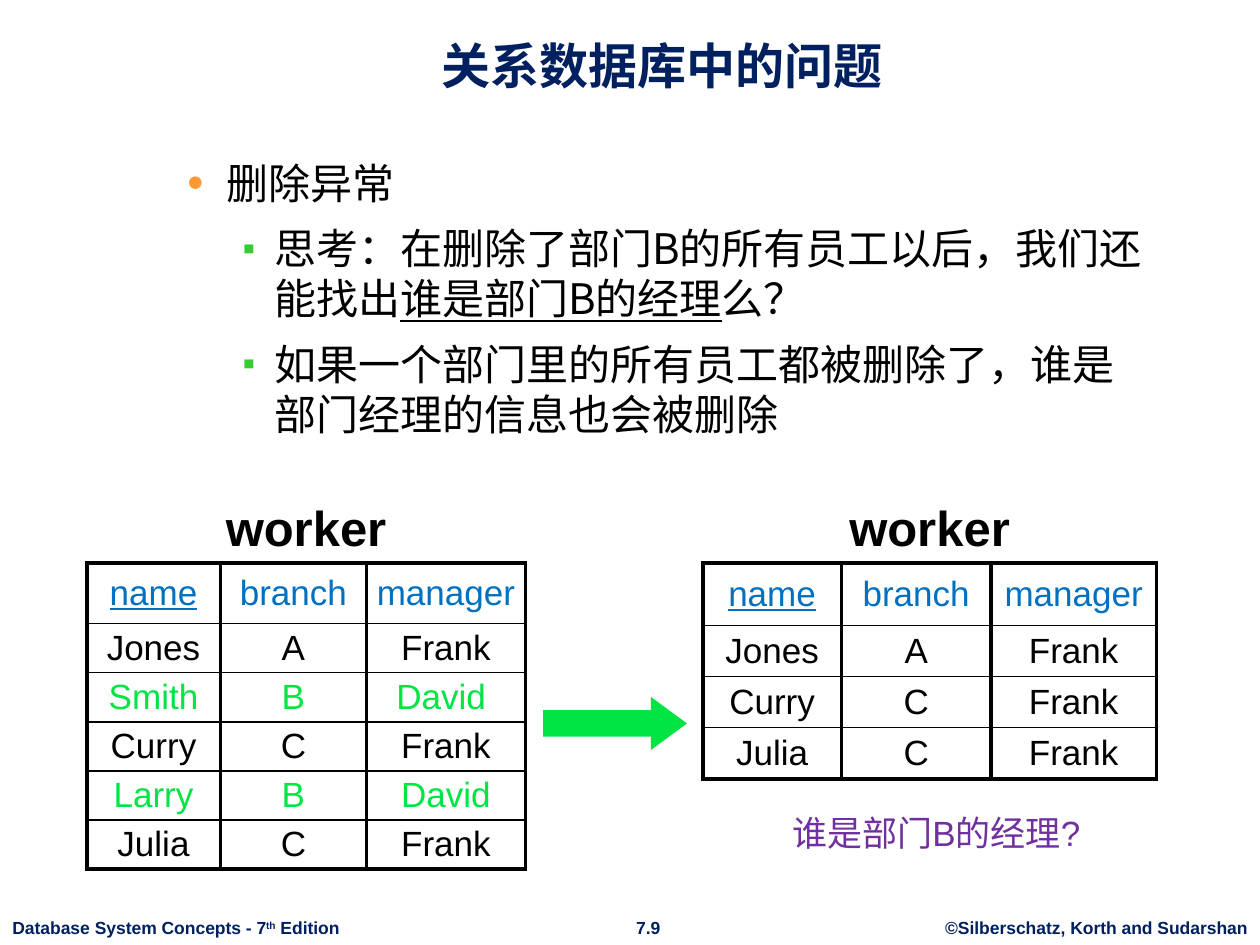
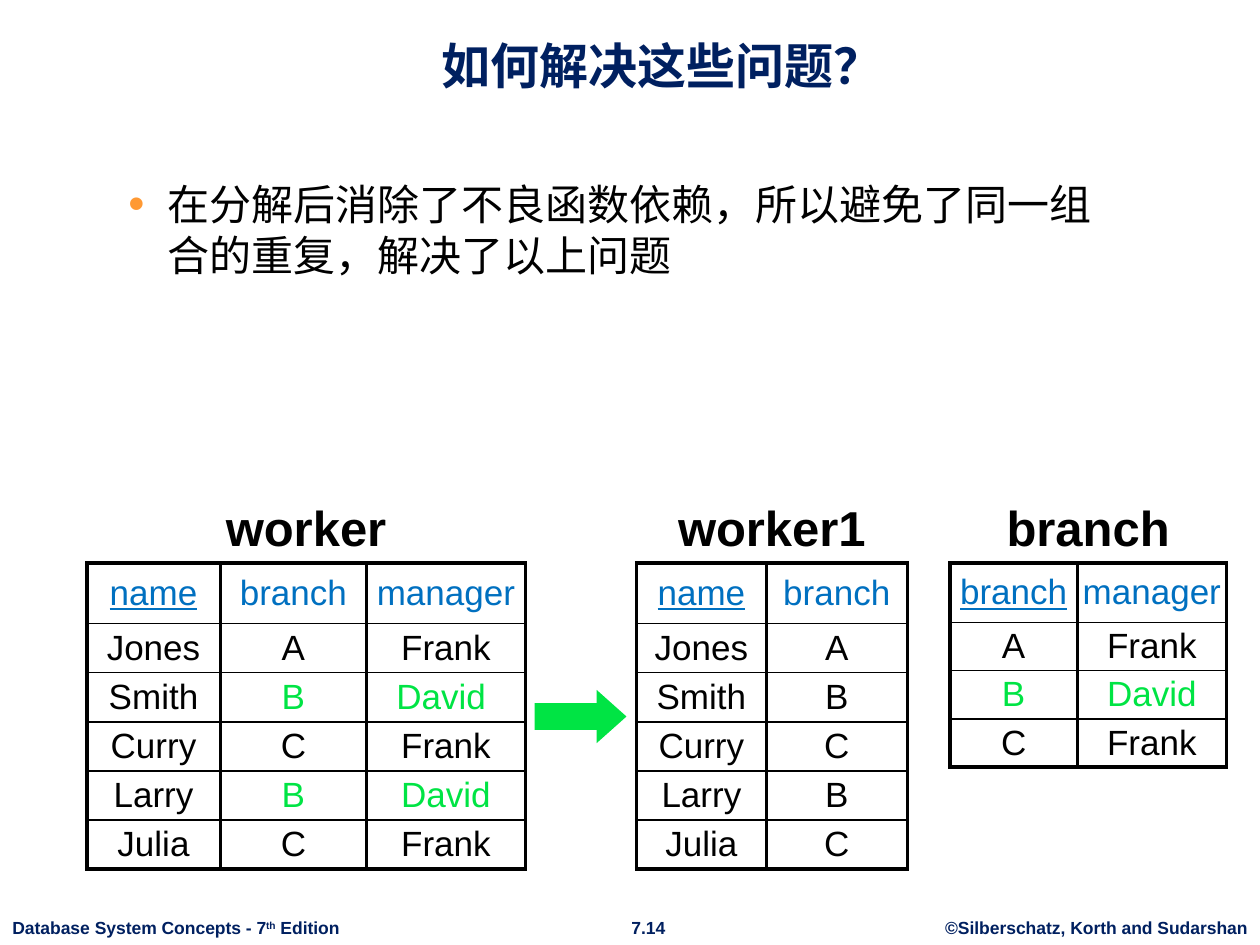
import dataclasses

import lxml.etree
import pptx
import pptx.dml.color
import pptx.enum.shapes
import pptx.enum.text
import pptx.oxml.ns
import pptx.util

Cm = pptx.util.Cm
Pt = pptx.util.Pt
ALIGN = pptx.enum.text.PP_ALIGN
ANCHOR = pptx.enum.text.MSO_ANCHOR

LATIN = "Arial"
CJK = "Noto Sans CJK SC"
NAVY = "002060"
BLACK = "000000"
WHITE = "FFFFFF"
BLUE = "0070C0"
GREEN = "00E444"
PURPLE = "7030A0"

TABLE_TOP = 11.35
LABEL_TOP = 9.91
FOOTER_TOP = 18.36
THICK = 2.25
THIN = 1


@dataclasses.dataclass(frozen=True)
class Run:
    text: str
    size: float
    color: str = BLACK
    font: str = LATIN
    bold: bool = False
    underline: bool = False
    superscript: bool = False


@dataclasses.dataclass(frozen=True)
class Box:
    left: float
    top: float
    width: float
    height: float


@dataclasses.dataclass(frozen=True)
class Level:
    margin: float
    indent: float
    char: str
    color: str
    percent: int


@dataclasses.dataclass(frozen=True)
class Bullet:
    level: Level
    runs: tuple[Run, ...]


@dataclasses.dataclass(frozen=True)
class Relation:
    name: str
    label_width: float
    left: float
    col_widths: tuple[float, ...]
    columns: tuple[str, ...]
    rows: tuple[tuple[str, ...], ...]
    highlighted: tuple[str, ...] = ()
    header_height: float = 1.22
    row_height: float = 0.99


TOPIC = Level(2.06, -0.79, "•", "FF9933", 110)
DETAIL = Level(3.02, -0.64, "▪", "33CC33", 85)


def rgb(color: str) -> pptx.dml.color.RGBColor:
    return pptx.dml.color.RGBColor.from_string(color)


def add_xml(parent, tag: str, **attrs):
    return lxml.etree.SubElement(parent, pptx.oxml.ns.qn(tag), attrs)


def add_run(p, run: Run) -> None:
    r = p.add_run()
    r.text = run.text
    r.font.size = Pt(run.size)
    r.font.name = run.font
    r.font.bold = run.bold
    r.font.underline = run.underline
    r.font.color.rgb = rgb(run.color)
    rPr = r._r.get_or_add_rPr()
    add_xml(rPr, "a:ea", typeface=CJK)
    if run.superscript:
        rPr.set("baseline", "30000")


def add_text(s, box: Box, runs: tuple[Run, ...], align=ALIGN.CENTER,
             wrap: bool = False, side_margin: float = 0.25) -> None:
    sp = s.shapes.add_textbox(Cm(box.left), Cm(box.top), Cm(box.width), Cm(box.height))
    tf = sp.text_frame
    tf.word_wrap = wrap
    tf.margin_left = tf.margin_right = Cm(side_margin)
    p = tf.paragraphs[0]
    p.alignment = align
    for run in runs:
        add_run(p, run)


def add_footer(s, page: str) -> None:
    def footer_run(text: str, superscript: bool = False) -> Run:
        return Run(text, 10, NAVY, bold=True, superscript=superscript)

    edition = (footer_run("Database System Concepts - 7"),
               footer_run("th", superscript=True), footer_run(" Edition"))
    add_text(s, Box(0, FOOTER_TOP, 7.14, 0.69), edition, ALIGN.LEFT)
    add_text(s, Box(12.45, FOOTER_TOP, 1.24, 0.69), (footer_run(page),))
    add_text(s, Box(18.8, FOOTER_TOP, 6.6, 0.69),
             (footer_run("©Silberschatz, Korth and Sudarshan"),))


def add_slide(prs, title: str, page: str):
    s = prs.slides.add_slide(prs.slide_layouts[5])
    sp = s.shapes.title
    sp.left, sp.top, sp.width, sp.height = Cm(2.13), Cm(0.33), Cm(22.43), Cm(1.7)
    tf = sp.text_frame
    tf.auto_size = pptx.enum.text.MSO_AUTO_SIZE.NONE
    tf.vertical_anchor = ANCHOR.BOTTOM
    p = tf.paragraphs[0]
    p.alignment = ALIGN.CENTER
    add_run(p, Run(title, 28, NAVY, bold=True))
    add_footer(s, page)
    return s


def add_bullets(s, box: Box, bullets: tuple[Bullet, ...]) -> None:
    sp = s.shapes.add_textbox(Cm(box.left), Cm(box.top), Cm(box.width), Cm(box.height))
    tf = sp.text_frame
    tf.word_wrap = True
    for i, bullet in enumerate(bullets):
        p = tf.add_paragraph() if i else tf.paragraphs[0]
        if i:
            p.space_before = Pt(8.4)
        level = bullet.level
        pPr = p._p.get_or_add_pPr()
        pPr.set("marL", str(Cm(level.margin)))
        pPr.set("indent", str(Cm(level.indent)))
        add_xml(add_xml(pPr, "a:buClr"), "a:srgbClr", val=level.color)
        add_xml(pPr, "a:buSzPct", val=str(level.percent * 1000))
        add_xml(pPr, "a:buFont", typeface=LATIN)
        add_xml(pPr, "a:buChar", char=level.char)
        for run in bullet.runs:
            add_run(p, run)


def set_borders(cell, top: float, bottom: float) -> None:
    tcPr = cell._tc.get_or_add_tcPr()
    sides = {"a:lnL": THICK, "a:lnR": THICK, "a:lnT": top, "a:lnB": bottom}
    for tag, width in sides.items():
        ln = add_xml(tcPr, tag, w=str(Pt(width)))
        add_xml(add_xml(ln, "a:solidFill"), "a:srgbClr", val=BLACK)


def add_relation(s, rel: Relation) -> None:
    width = sum(rel.col_widths)
    height = rel.header_height + rel.row_height * len(rel.rows)
    label_left = rel.left + (width - rel.label_width) / 2
    add_text(s, Box(label_left, LABEL_TOP, rel.label_width, 1.45),
             (Run(rel.name, 28, bold=True),))

    records = (rel.columns,) + rel.rows
    table = s.shapes.add_table(len(records), len(rel.columns), Cm(rel.left),
                               Cm(TABLE_TOP), Cm(width), Cm(height)).table
    table.first_row = table.horz_banding = False
    for column, col_width in zip(table.columns, rel.col_widths):
        column.width = Cm(col_width)
    last = len(records) - 1
    for i, record in enumerate(records):
        table.rows[i].height = Cm(rel.row_height if i else rel.header_height)
        for j, value in enumerate(record):
            cell = table.cell(i, j)
            cell.vertical_anchor = ANCHOR.MIDDLE
            cell.margin_left = cell.margin_right = 0
            cell.margin_top = cell.margin_bottom = Cm(0.05)
            set_borders(cell, THIN if i else THICK, THICK if i == last else THIN)
            if i:
                cell.fill.background()
                color = GREEN if value.strip() in rel.highlighted else BLACK
            else:
                cell.fill.solid()
                cell.fill.fore_color.rgb = rgb(WHITE)
                color = BLUE
            p = cell.text_frame.paragraphs[0]
            p.alignment = ALIGN.CENTER
            add_run(p, Run(value, 20, color, underline=i == j == 0))


def add_arrow(s, box: Box, head: float) -> None:
    sp = s.shapes.add_shape(pptx.enum.shapes.MSO_SHAPE.RIGHT_ARROW,
                            Cm(box.left), Cm(box.top), Cm(box.width), Cm(box.height))
    sp.shadow.inherit = False
    sp.adjustments[0] = 0.5
    sp.adjustments[1] = head
    sp.fill.solid()
    sp.fill.fore_color.rgb = rgb(GREEN)
    sp.line.fill.background()


def body(text: str, underline: bool = False) -> Run:
    return Run(text, 24, font=CJK, underline=underline)


WORKER = Relation(
    "worker", 3.78, 1.75, (2.69, 2.95, 3.2), ("name", "branch", "manager"),
    (("Jones", "A", "Frank"), ("Smith", "B", "David "), ("Curry", "C", "Frank"),
     ("Larry", "B", "David"), ("Julia", "C", "Frank")),
    ("B", "David"))
WORKER_DELETING = dataclasses.replace(
    WORKER, highlighted=("Smith", "Larry", "B", "David"))
WORKER_REMAINING = dataclasses.replace(
    WORKER, left=14.17, col_widths=(2.79, 3.02, 3.33),
    rows=tuple(row for row in WORKER.rows if row[1] != "B"),
    header_height=1.26, row_height=1.03)
WORKER1 = Relation(
    "worker1", 4.34, 12.83, (2.62, 2.84), WORKER.columns[:2],
    tuple(row[:2] for row in WORKER.rows))
BRANCH = Relation(
    "branch", 3.84, 19.15, (2.57, 3.0), WORKER.columns[1:],
    (("A", "Frank"), ("B", "David"), ("C", "Frank")),
    ("B", "David"), 1.2, 0.97)


def build_deletion_slide(prs) -> None:
    s = add_slide(prs, "关系数据库中的问题", "7.9")
    add_bullets(s, Box(2.26, 3.05, 21.29, 13.61), (
        Bullet(TOPIC, (body("删除异常"),)),
        Bullet(DETAIL, (body("思考：在删除了部门B的所有员工以后，我们还能找出"),
                        body("谁是部门B的经理", underline=True), body("么？"))),
        Bullet(DETAIL, (body("如果一个部门里的所有员工都被删除了，"
                             "谁是部门经理的信息也会被删除"),)),
    ))
    add_relation(s, WORKER_REMAINING)
    add_text(s, Box(13.92, 16.23, 9.91, 1.12),
             (Run("谁是部门B的经理?", 20, PURPLE),), wrap=True, side_margin=0)
    add_arrow(s, Box(10.95, 14.05, 2.9, 1.07), 0.68)
    add_relation(s, WORKER_DELETING)


def build_solution_slide(prs) -> None:
    s = add_slide(prs, "如何解决这些问题？", "7.14")
    add_bullets(s, Box(1.07, 3.48, 21.29, 13.61), (
        Bullet(TOPIC, (body("在分解后消除了不良函数依赖，"
                            "所以避免了同一组合的重复，解决了以上问题"),)),
    ))
    add_arrow(s, Box(10.78, 13.91, 1.85, 1.07), 0.56)
    for relation in (WORKER1, BRANCH, WORKER):
        add_relation(s, relation)


def main() -> None:
    prs = pptx.Presentation()
    prs.slide_width, prs.slide_height = Cm(25.4), Cm(19.05)
    build_deletion_slide(prs)
    build_solution_slide(prs)
    prs.save("out.pptx")


if __name__ == "__main__":
    main()
